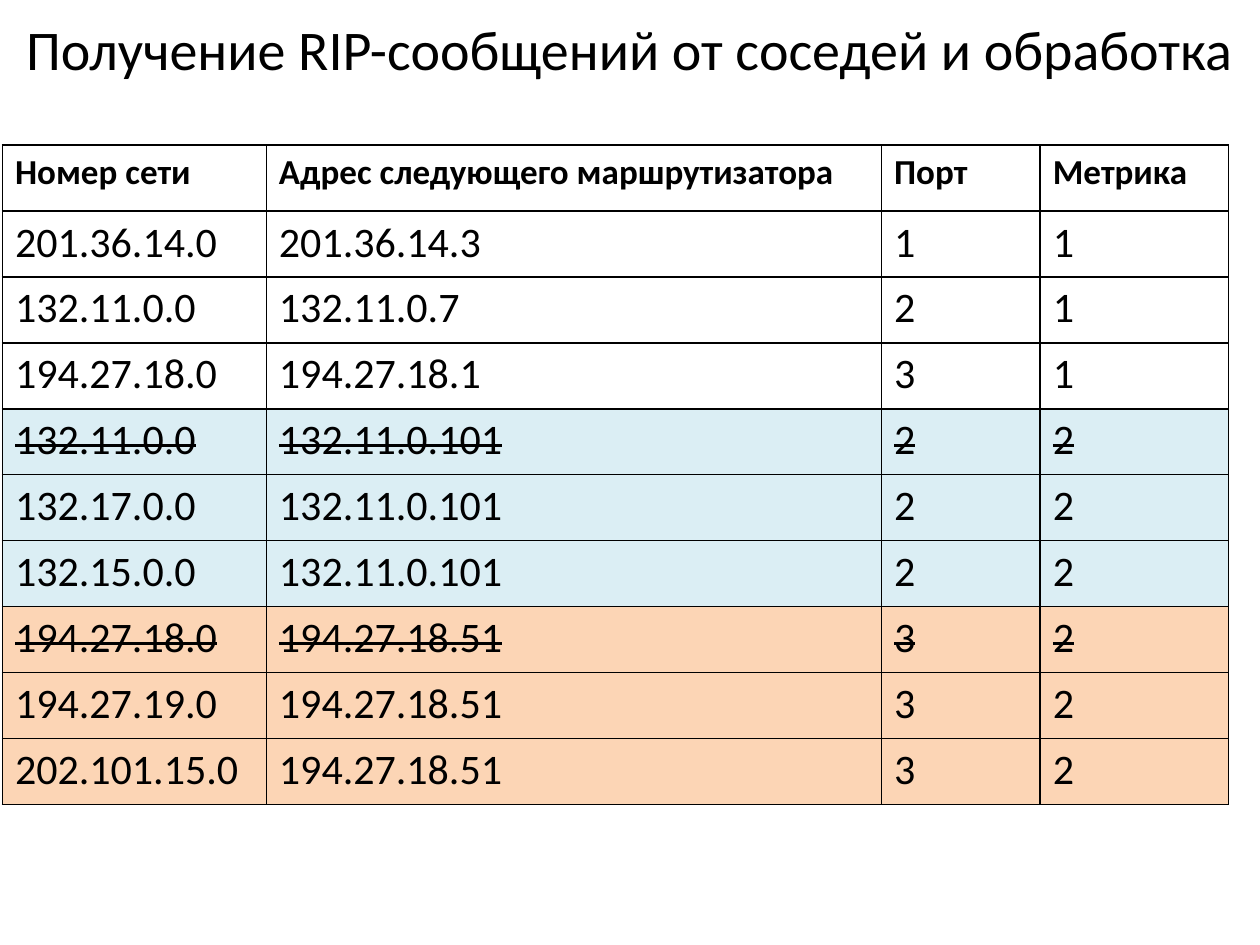
from lxml.etree import SubElement
from pptx import Presentation
from pptx.dml.color import RGBColor as RGB
from pptx.enum.text import MSO_ANCHOR as Anchor, PP_ALIGN as Align
from pptx.oxml.ns import qn
from pptx.util import Cm, Pt

FONT = "Calibri"
COLORS = {"text": "000000", "border": "000000", "blue": "DBEEF4", "orange": "FCD5B5"}
COL_WIDTHS = [5.32, 12.4, 3.2, 3.8]
ROW_HEIGHT = 1.33
HEADER = ["Номер сети", "Адрес следующего маршрутизатора", "Порт", "Метрика"]
# Each route: cells, fill name, struck out
ROUTES = [
    (["201.36.14.0", "201.36.14.3", "1", "1"], None, False),
    (["132.11.0.0", "132.11.0.7", "2", "1"], None, False),
    (["194.27.18.0", "194.27.18.1", "3", "1"], None, False),
    (["132.11.0.0", "132.11.0.101", "2", "2"], "blue", True),
    (["132.17.0.0", "132.11.0.101", "2", "2"], "blue", False),
    (["132.15.0.0", "132.11.0.101", "2", "2"], "blue", False),
    (["194.27.18.0", "194.27.18.51", "3", "2"], "orange", True),
    (["194.27.19.0", "194.27.18.51", "3", "2"], "orange", False),
    (["202.101.15.0", "194.27.18.51", "3", "2"], "orange", False),
]


def write(p, text, size, bold=False, strike=False):
    r = p.add_run()
    r.text = text
    if strike:
        r._r.get_or_add_rPr().set("strike", "sngStrike")
    p.font.name = FONT
    p.font.size = Pt(size)
    p.font.bold = bold
    p.font.color.rgb = RGB.from_string(COLORS["text"])


def add_title(s, text):
    box = s.shapes.add_textbox(Cm(0), Cm(0.03), Cm(25.4), Cm(1.9))
    tf = box.text_frame
    tf.word_wrap = True
    tf.vertical_anchor = Anchor.MIDDLE
    p = tf.paragraphs[0]
    p.alignment = Align.CENTER
    write(p, text, 32)


def set_borders(cell):
    tcPr = cell._tc.get_or_add_tcPr()
    for side in ("a:lnL", "a:lnR", "a:lnT", "a:lnB"):
        ln = SubElement(tcPr, qn(side), w=str(Pt(1)))
        fill = SubElement(ln, qn("a:solidFill"))
        SubElement(fill, qn("a:srgbClr"), val=COLORS["border"])


def fill_row(row, texts, fill, **style):
    row.height = Cm(ROW_HEIGHT)
    for cell, text in zip(row.cells, texts):
        set_borders(cell)
        if fill:
            cell.fill.solid()
            cell.fill.fore_color.rgb = RGB.from_string(COLORS[fill])
        else:
            cell.fill.background()
        write(cell.text_frame.paragraphs[0], text, **style)


def add_routing_table(s):
    rows = len(ROUTES) + 1
    frame = s.shapes.add_table(rows, len(HEADER), Cm(0.05), Cm(2.92),
                               Cm(sum(COL_WIDTHS)), Cm(ROW_HEIGHT * rows))
    table = frame.table
    table.horz_banding = False
    for column, width in zip(table.columns, COL_WIDTHS):
        column.width = Cm(width)
    fill_row(table.rows[0], HEADER, None, size=20, bold=True)
    for i, (texts, fill, strike) in enumerate(ROUTES, start=1):
        fill_row(table.rows[i], texts, fill, size=24, strike=strike)


def main():
    prs = Presentation()
    prs.slide_width, prs.slide_height = Cm(25.4), Cm(19.05)
    s = prs.slides.add_slide(prs.slide_layouts[6])
    add_title(s, "Получение RIP-сообщений от соседей и обработка")
    add_routing_table(s)
    prs.save("out.pptx")


if __name__ == "__main__":
    main()
